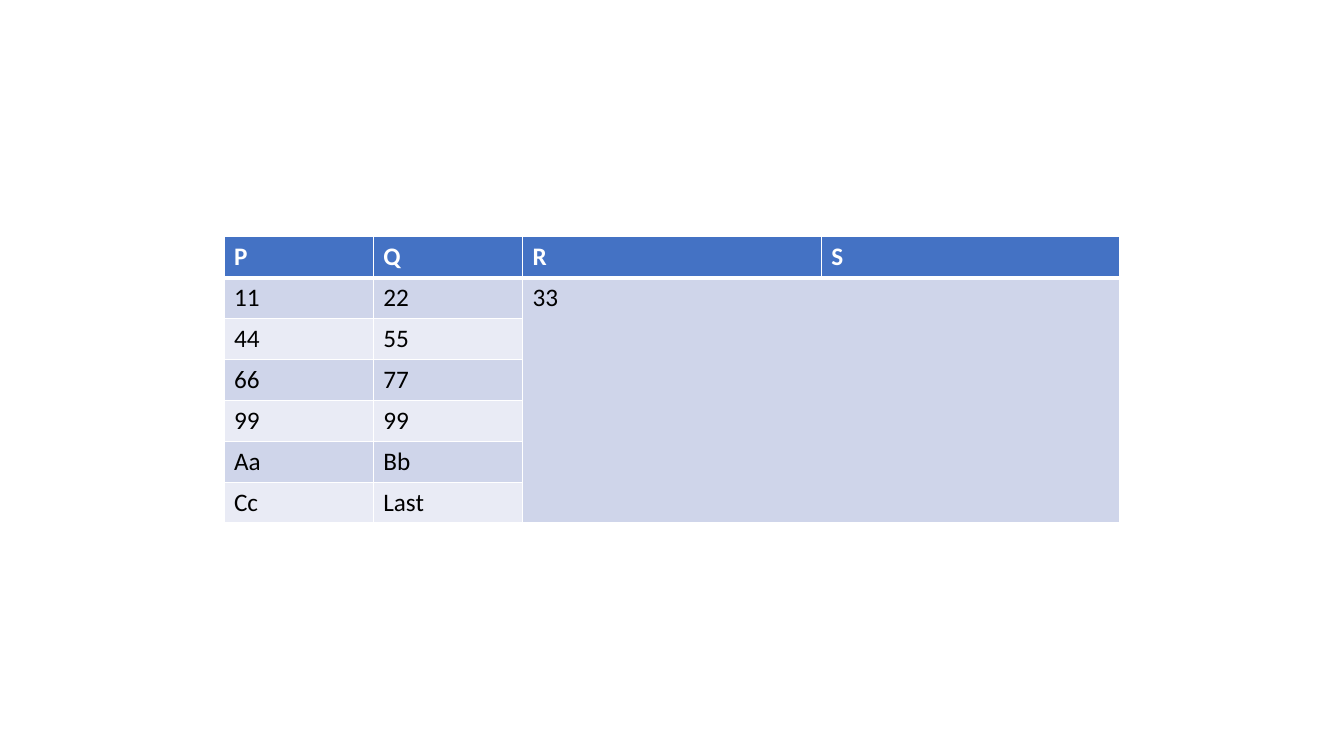
from lxml.etree import SubElement
from pptx import Presentation
from pptx.dml.color import RGBColor as Rgb
from pptx.oxml.ns import qn
from pptx.util import Pt

WHITE = Rgb(0xFF, 0xFF, 0xFF)
BLACK = Rgb(0, 0, 0)
BLUE = Rgb(0x44, 0x72, 0xC4)
BANDS = Rgb(0xE9, 0xEB, 0xF5), Rgb(0xCF, 0xD5, 0xEA)

ROWS = [
    ("P", "Q", "R", "S"),
    ("11", "22", "33"),
    ("44", "55"),
    ("66", "77"),
    ("99", "99"),
    ("Aa", "Bb"),
    ("Cc", "Last"),
]
UNIT = 640 / 6
WIDTHS = UNIT, UNIT, 2 * UNIT, 2 * UNIT
HEIGHT = 29.2


class Deck:
    font = "Calibri"
    size = Pt(18)

    def __init__(self):
        self.prs = Presentation()
        self.prs.slide_width, self.prs.slide_height = Pt(960), Pt(540)
        self.slide = self.prs.slides.add_slide(self.prs.slide_layouts[6])

    def table(self, left, top, widths, height, rows):
        """Add a banded table; rows may be short where cells get merged."""
        frame = self.slide.shapes.add_table(
            len(rows), len(widths), Pt(left), Pt(top),
            Pt(sum(widths)), Pt(height * len(rows)))
        grid = frame.table
        for col, width in zip(grid.columns, widths):
            col.width = Pt(width)
        for i, row in enumerate(rows):
            grid.rows[i].height = Pt(height)
            for j, text in enumerate(row):
                self.cell(grid.cell(i, j), text, i)
        return grid

    def cell(self, cell, text, row):
        head = row == 0
        cell.text_frame.text = text
        font = cell.text_frame.paragraphs[0].runs[0].font
        font.name, font.size, font.bold = self.font, self.size, head
        font.color.rgb = WHITE if head else BLACK
        self.edges(cell, {"L": 1, "R": 1, "T": 3 if row == 1 else 1,
                          "B": 3 if head else 1})
        cell.fill.solid()
        cell.fill.fore_color.rgb = BLUE if head else BANDS[row % 2]

    def edges(self, cell, sides):
        """Draw white cell borders, with widths in points by side."""
        props = cell._tc.get_or_add_tcPr()
        for side, width in sides.items():
            line = SubElement(props, qn(f"a:ln{side}"), w=str(Pt(width)))
            fill = SubElement(line, qn("a:solidFill"))
            SubElement(fill, qn("a:srgbClr"), val=str(WHITE))


def main():
    deck = Deck()
    grid = deck.table(160, 169.2, WIDTHS, HEIGHT, ROWS)
    grid.cell(1, 2).merge(grid.cell(len(ROWS) - 1, 3))
    deck.prs.save("out.pptx")


if __name__ == "__main__":
    main()
